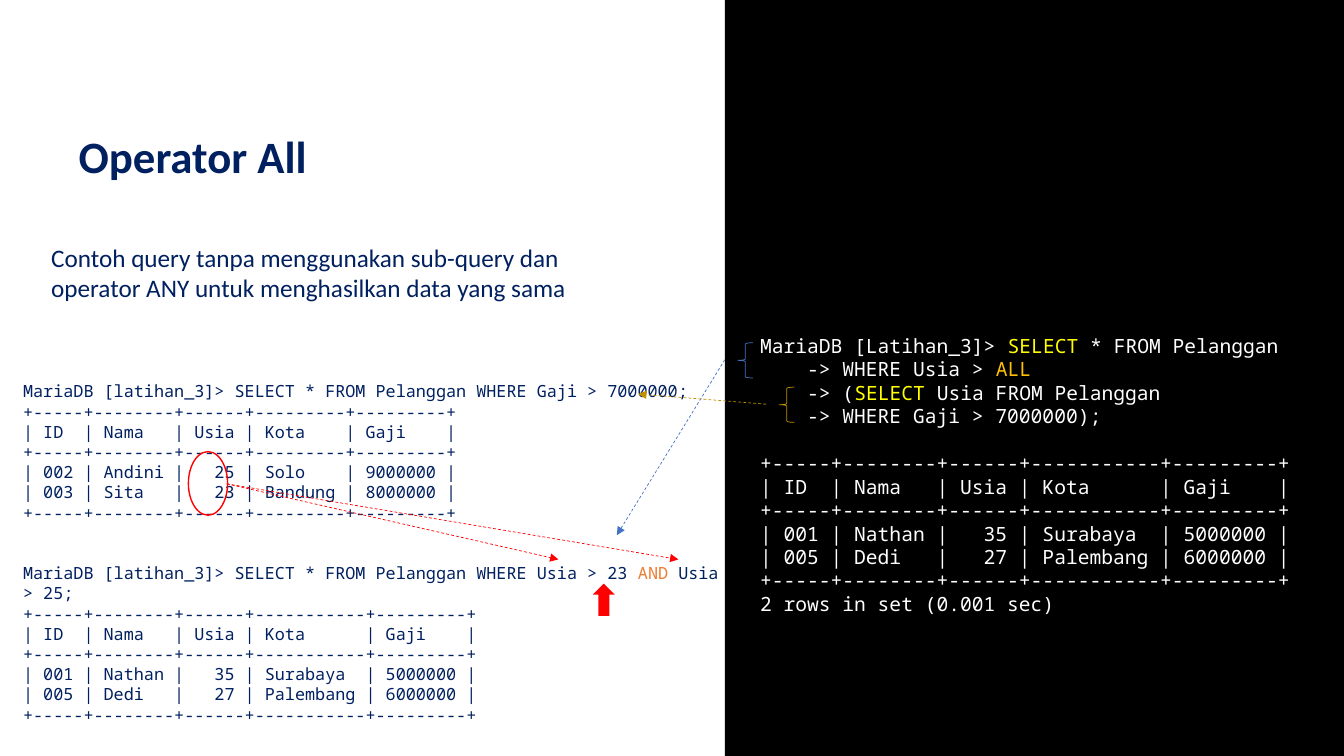
from lxml.etree import SubElement
from pptx import Presentation
from pptx.dml.color import RGBColor
from pptx.enum.dml import MSO_LINE
from pptx.enum.shapes import MSO_CONNECTOR, MSO_SHAPE
from pptx.enum.text import MSO_ANCHOR, PP_ALIGN
from pptx.oxml.ns import qn
from pptx.util import Pt

COLORS = {
    "navy": "002060", "white": "FFFFFF", "black": "000000", "orange": "ED7D31",
    "yellow": "FFFF00", "amber": "FFC000", "gold": "BF9000", "blue": "4472C4",
    "red": "FF0000",
}


def color(name):
    return RGBColor.from_string(COLORS[name])


def add_shape(kind, left, top, width, height, fill=None, line=None, weight=0.5):
    shape = page.shapes.add_shape(kind, Pt(left), Pt(top), Pt(width), Pt(height))
    shape.shadow.inherit = False
    if fill:
        shape.fill.solid()
        shape.fill.fore_color.rgb = color(fill)
    else:
        shape.fill.background()
    if line:
        shape.line.color.rgb = color(line)
        shape.line.width = Pt(weight)
    else:
        shape.line.fill.background()
    return shape


deck = Presentation()
deck.slide_width, deck.slide_height = Pt(960), Pt(540)
page = deck.slides.add_slide(deck.slide_layouts[5])

# Title
title = page.shapes.title
title.left, title.top, title.width, title.height = Pt(49), Pt(81.4), Pt(413.3), Pt(64)
title.text_frame.text = "Operator All"
title.text_frame.vertical_anchor = MSO_ANCHOR.MIDDLE
heading = title.text_frame.paragraphs[0]
heading.alignment = PP_ALIGN.LEFT
heading.line_spacing = 0.9
heading.font.name = "Calibri"
heading.font.size = Pt(32)
heading.font.bold = True
heading.font.color.rgb = color("navy")

# Query listings: each line is a list of (text, colour) spans, None is the base colour
RULE = "+-----+--------+------+---------+---------+"
WIDE_RULE = "+-----+--------+------+-----------+---------+"
result_table = [
    WIDE_RULE,
    "| ID  | Nama   | Usia | Kota      | Gaji    |",
    WIDE_RULE,
    "| 001 | Nathan |   35 | Surabaya  | 5000000 |",
    "| 005 | Dedi   |   27 | Palembang | 6000000 |",
    WIDE_RULE,
]
plain_queries = [
    "MariaDB [latihan_3]> SELECT * FROM Pelanggan WHERE Gaji > 7000000;",
    RULE,
    "| ID  | Nama   | Usia | Kota    | Gaji    |",
    RULE,
    "| 002 | Andini |   25 | Solo    | 9000000 |",
    "| 003 | Sita   |   23 | Bandung | 8000000 |",
    RULE,
    [("MariaDB [latihan_3]> SELECT * FROM Pelanggan WHERE Usia > 23 ", None),
     ("AND", "orange"), (" Usia > 25;", None)],
    *result_table,
]
all_query = [
    [("MariaDB [Latihan_3]> ", None), ("SELECT", "yellow"), (" * FROM Pelanggan", None)],
    [("    -> WHERE Usia > ", None), ("ALL", "amber")],
    [("    -> (", None), ("SELECT", "yellow"), (" Usia FROM Pelanggan", None)],
    "    -> WHERE Gaji > 7000000);",
    *result_table,
    "2 rows in set (0.001 sec)",
]

# Panels: frame, fill, text colour, size, line pitch, left and top margin,
# line that follows a gap, gap in lines
panels = [
    ((5, 254.2, 517.7, 283.7), "white", "navy", 12, 14.42, 11.5, 18, 7, 2, plain_queries),
    ((517.7, 0, 442.3, 550), "black", "white", 14, 16.75, 25.2, 238.5, 4, 1, all_query),
]
for frame, fill, ink, size, pitch, left, top, gap_line, gap, lines in panels:
    panel = add_shape(MSO_SHAPE.RECTANGLE, *frame, fill=fill)
    text = panel.text_frame
    text.word_wrap = True
    text.vertical_anchor = MSO_ANCHOR.TOP
    text.margin_left, text.margin_top = Pt(left), Pt(top)
    for index, line in enumerate(lines):
        para = text.paragraphs[0] if index == 0 else text.add_paragraph()
        para.alignment = PP_ALIGN.LEFT
        para.line_spacing = Pt(pitch)
        if index == gap_line:
            para.space_before = Pt(gap * pitch)
        for words, accent in [(line, None)] if isinstance(line, str) else line:
            span = para.add_run()
            span.text = words
            span.font.name = "Noto Sans Mono"
            span.font.size = Pt(size)
            span.font.color.rgb = color(accent or ink)

# Braces and marker around the matching parts
add_shape(MSO_SHAPE.LEFT_BRACE, 556.6, 276.5, 10.8, 25.2, line="gold")
add_shape(MSO_SHAPE.LEFT_BRACE, 527, 244.8, 10.8, 25.2, line="blue")
add_shape(MSO_SHAPE.OVAL, 134.6, 322.6, 28, 45.4, line="red", weight=1)

# Dashed arrows
arrows = [
    (517.7, 257, 440.6, 382.3, "blue"),
    (547.2, 288.7, 455.8, 281.5, "gold"),
    (162, 345.6, 484.6, 399.6, "red"),
    (162, 345.6, 398.9, 399.6, "red"),
]
for *ends, ink in arrows:
    arrow = page.shapes.add_connector(MSO_CONNECTOR.STRAIGHT, *map(Pt, ends))
    arrow.line.color.rgb = color(ink)
    arrow.line.width = Pt(0.5)
    arrow.line.dash_style = MSO_LINE.DASH
    SubElement(arrow.line._get_or_add_ln(), qn("a:tailEnd"), type="triangle")
    SubElement(arrow._element.spPr, qn("a:effectLst"))

# Explanation
box = page.shapes.add_textbox(Pt(29.5), Pt(169.2), Pt(396), Pt(51))
box.text_frame.word_wrap = True
box.text_frame.text = (
    "Contoh query tanpa menggunakan sub-query dan operator ANY "
    "untuk menghasilkan data yang sama"
)
note = box.text_frame.paragraphs[0]
note.font.name = "Calibri"
note.font.size = Pt(18)
note.font.color.rgb = color("navy")

# Pointer to the AND condition
add_shape(MSO_SHAPE.UP_ARROW, 423.4, 416.9, 15.8, 23, fill="red")

deck.save("out.pptx")
